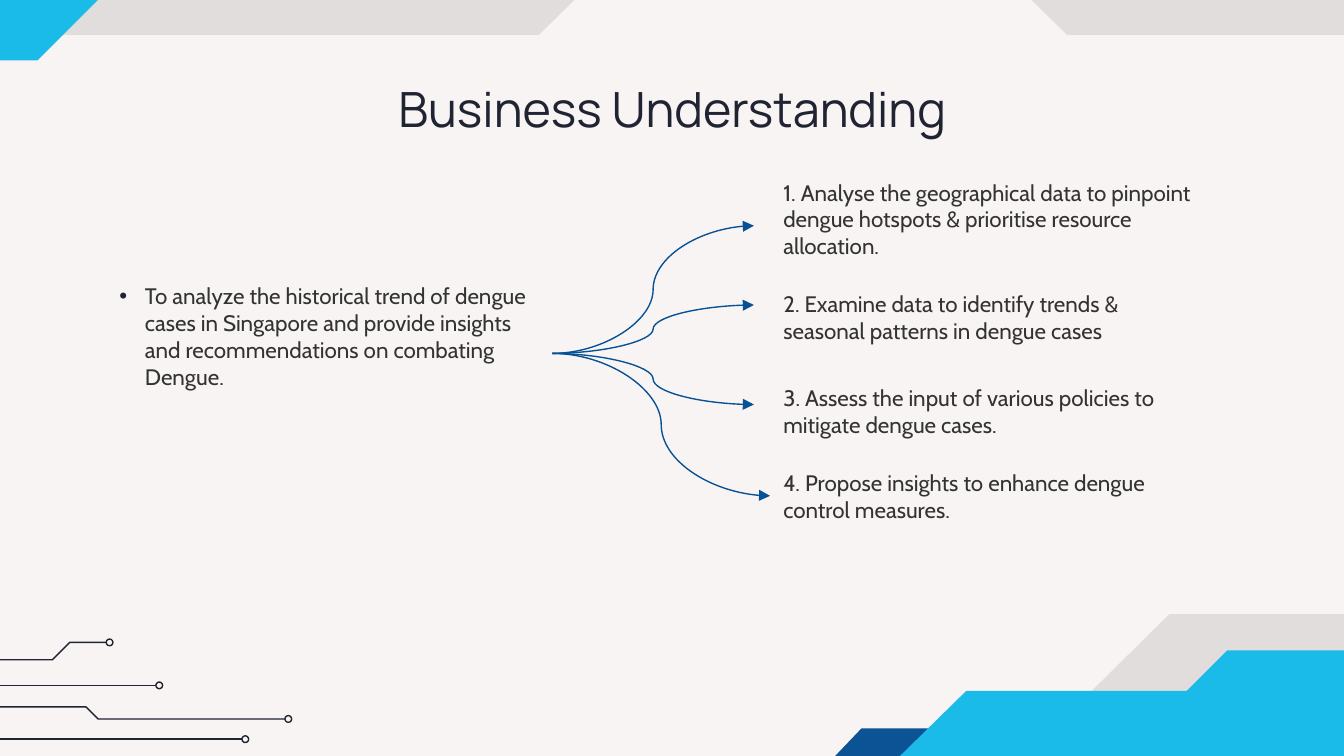
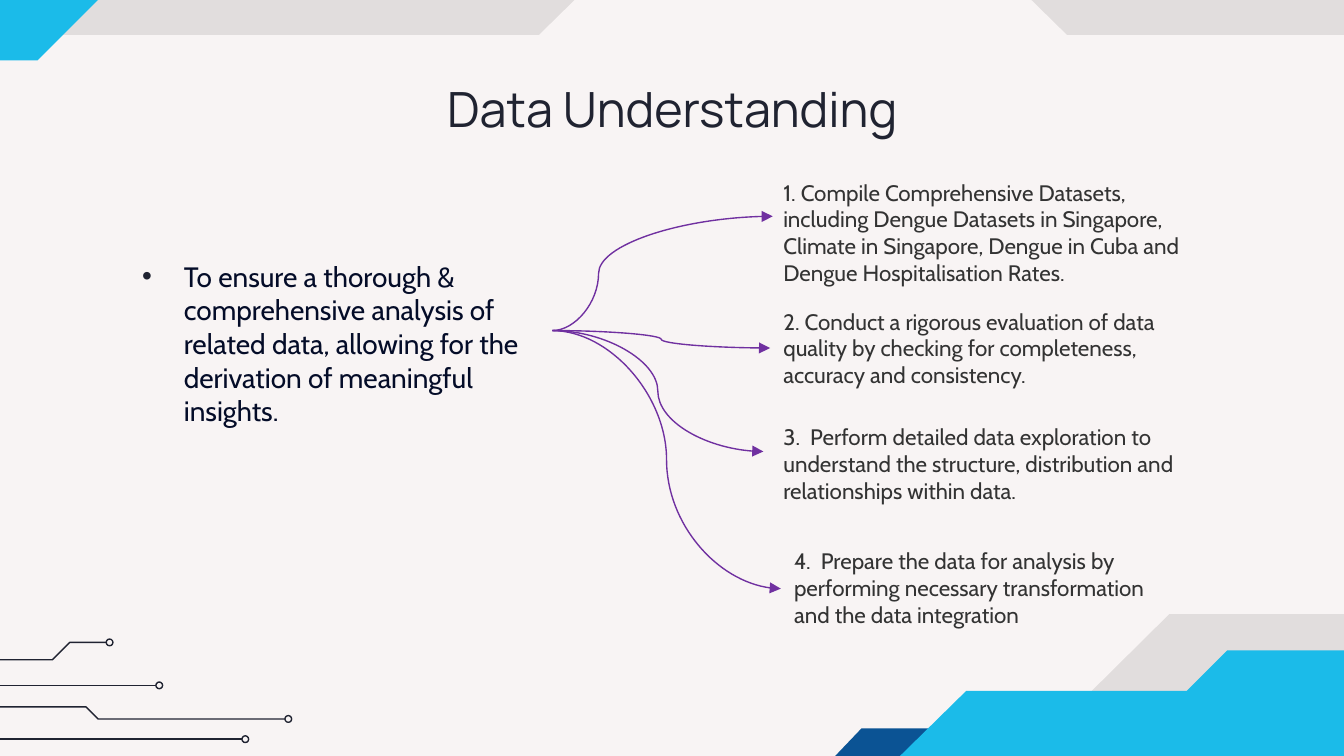
from dataclasses import dataclass

from lxml.etree import SubElement as Sub
from pptx import Presentation
from pptx.dml.color import RGBColor as RGB
from pptx.enum.shapes import MSO_CONNECTOR as CONN, MSO_SHAPE as SHAPE
from pptx.enum.text import MSO_ANCHOR as ANCHOR, PP_ALIGN as ALIGN
from pptx.oxml.ns import qn
from pptx.util import Inches, Pt


@dataclass(frozen=True)
class Theme:
    """Colours, fonts and sizes shared by the slides."""
    paper: str = "F8F4F4"
    shade: str = "000000"
    shade_alpha: int = 9
    cyan: str = "1BBBE9"
    navy: str = "0B5394"
    ink: str = "202331"
    body: str = "333333"
    deep: str = "040C28"
    blue: str = "075194"
    purple: str = "7030A0"
    head_font: str = "Manrope"
    body_font: str = "Cabin"
    title_pt: int = 26
    lead_pt: int = 15
    body_pt: int = 12
    line_pt: float = 0.75


T = Theme()
TOP_BOX = (0, 0, 10, 0.45)
CORNER_BOX = (5.89, 4.57, 4.11, 1.05)
CIRCUIT_BOX = (0, 4.76, 2.17, 0.77)
TITLE_BOX = (0.79, 0.49, 8.43, 0.63)
DOT = 0.05


def paint(fill, color, alpha=None):
    """Fill solidly, with an optional opacity in percent."""
    fill.solid()
    fill.fore_color.rgb = RGB.from_string(color)
    if alpha is not None:
        clr = fill._xPr.find(".//" + qn("a:srgbClr"))
        Sub(clr, qn("a:alpha"), val=str(alpha * 1000))


def outline(line, color):
    """Draw a thin line in the given colour."""
    line.width = Pt(T.line_pt)
    line.color.rgb = RGB.from_string(color)


def freeform(s, box, pts, close=True):
    """Build an outline from points relative to the box."""
    emu = [(Inches(box[0] + x), Inches(box[1] + y)) for x, y in pts]
    fb = s.shapes.build_freeform(*emu[0])
    fb.add_line_segments(emu[1:], close=close)
    sp = fb.convert_to_shape()
    sp.shadow.inherit = False
    return sp


def polygon(s, box, pts, color, alpha=None):
    """Add a filled polygon without a border."""
    sp = freeform(s, box, pts)
    paint(sp.fill, color, alpha)
    sp.line.fill.background()


def connector(s, kind, start, end, color):
    """Add a connector without a shadow."""
    c = s.shapes.add_connector(kind, *map(Inches, (*start, *end)))
    outline(c.line, color)
    Sub(c._element.spPr, qn("a:effectLst"))
    return c


def text(s, box, words, font, size, color, inset=0.1, align=ALIGN.LEFT,
         anchor=ANCHOR.TOP):
    """Add a wrapped text box with one run and return its paragraph."""
    tf = s.shapes.add_textbox(*map(Inches, box)).text_frame
    tf.word_wrap = True
    tf.vertical_anchor = anchor
    tf.margin_left = tf.margin_right = Inches(0.1)
    tf.margin_top = tf.margin_bottom = Inches(inset)
    p = tf.paragraphs[0]
    p.alignment = align
    r = p.add_run()
    r.text = words
    r.font.name, r.font.size = font, Pt(size)
    r.font.color.rgb = RGB.from_string(color)
    return p


def top_band(s, box):
    """Draw the grey band and the cyan corner along the top."""
    polygon(s, box, [(7.94, 0.26), (6.82, -0.84), (5.13, -0.84), (4.01, 0.26),
                     (-0.12, 0.26), (-0.12, -1.8), (10.12, -1.8),
                     (10.12, 0.26)], T.shade, T.shade_alpha)
    polygon(s, box, [(0.28, 0.45), (1.4, -0.67), (1.72, -0.67), (1.72, -1.24),
                     (-1.34, -1.24), (-1.34, 0.45)], T.cyan)


def bottom_corner(s, box):
    """Draw the layered shapes of the lower right corner."""
    polygon(s, box, [(2.81, 0), (1.69, 1.11), (1.37, 1.11), (1.37, 1.68),
                     (4.44, 1.68), (4.44, 0)], T.shade, T.shade_alpha)
    polygon(s, box, [(0.32, 1.06), (0.52, 0.85), (1.42, 0.85), (1.22, 1.06)],
            T.navy)
    polygon(s, box, [(5.59, 0.27), (5.59, 3.57), (0, 3.57), (0, 1.15),
                     (0.71, 1.15), (1.3, 0.57), (2.94, 0.57), (3.24, 0.27)],
            T.cyan)


def circuit(s, box):
    """Draw the wires of the lower left corner, each ending in a ring."""
    wires = [
        [(-0.5, 0.34), (1.16, 0.34)],
        [(-0.87, 0.15), (0.39, 0.15), (0.52, 0.02), (0.79, 0.02)],
        [(-1.19, 0.5), (0.64, 0.5), (0.73, 0.59), (2.12, 0.59)],
        [(-1.44, 0.74), (1.8, 0.74)],
    ]
    for pts in wires:
        if len(pts) == 2:
            ends = [(box[0] + x, box[1] + y) for x, y in pts]
            connector(s, CONN.STRAIGHT, *ends, T.ink)
        else:
            wire = freeform(s, box, pts, close=False)
            wire.fill.background()
            outline(wire.line, T.ink)
        x, y = pts[-1]
        ring = s.shapes.add_shape(SHAPE.OVAL, Inches(box[0] + x),
                                  Inches(box[1] + y - DOT / 2),
                                  Inches(DOT), Inches(DOT))
        ring.shadow.inherit = False
        ring.fill.background()
        outline(ring.line, T.ink)


def goal(s, box, words, size, color, left, hang):
    """Write the bulleted goal on the left."""
    p = text(s, box, words, T.body_font, size, color)
    pPr = p._p.get_or_add_pPr()
    pPr.set("marL", str(Inches(left)))
    pPr.set("indent", str(-Inches(hang)))
    clr = Sub(pPr, qn("a:buClr"))
    Sub(clr, qn("a:srgbClr"), val=T.ink)
    Sub(pPr, qn("a:buFont"), typeface="Arial")
    Sub(pPr, qn("a:buChar"), char="•")


def steps(s, items):
    """Write the numbered steps on the right."""
    for i, (box, words) in enumerate(items):
        text(s, box, words, T.body_font, T.body_pt, T.body,
             inset=0.05 if i else 0.1)


def branches(s, start, ends, color):
    """Draw curved arrows from the goal to each step."""
    for x, y, bend in ends:
        c = connector(s, CONN.CURVE, start, (x, y), color)
        av = c._element.spPr.find(".//" + qn("a:avLst"))
        Sub(av, qn("a:gd"), name="adj1", fmla=f"val {round(bend * 100000)}")
        Sub(c.line._get_or_add_ln(), qn("a:tailEnd"), type="triangle")


def goal_slide(prs, title, lead, items, start, ends, color):
    """Build a slide that links one goal to its steps."""
    s = prs.slides.add_slide(prs.slide_layouts[6])
    paint(s.background.fill, T.paper)
    top_band(s, TOP_BOX)
    bottom_corner(s, CORNER_BOX)
    circuit(s, CIRCUIT_BOX)
    text(s, TITLE_BOX, title, T.head_font, T.title_pt, T.ink,
         align=ALIGN.CENTER, anchor=ANCHOR.MIDDLE)
    goal(s, *lead)
    steps(s, items)
    branches(s, start, ends, color)


def main():
    """Build and save the presentation."""
    prs = Presentation()
    prs.slide_width, prs.slide_height = Inches(10), Inches(5.625)
    goal_slide(
        prs, "Business Understanding",
        ((0.79, 2, 3.33, 1.26),
         "To analyze the historical trend of dengue cases in Singapore and "
         "provide insights and recommendations on combating Dengue.",
         T.body_pt, T.body, 0.19, 0.19),
        [((5.73, 1.23, 3.33, 1.04),
          "1. Analyse the geographical data to pinpoint dengue hotspots & "
          "prioritise resource allocation."),
         ((5.73, 2.11, 3.21, 0.71),
          "2. Examine data to identify trends & seasonal patterns in dengue "
          "cases"),
         ((5.73, 2.81, 3.21, 0.71),
          "3. Assess the input of various policies to mitigate dengue cases."),
         ((5.73, 3.44, 2.92, 0.5),
          "4. Propose insights to enhance dengue control measures.")],
        (4.11, 2.63),
        [(5.61, 1.68, 0.5), (5.61, 2.27, 0.5), (5.61, 3.01, 0.5),
         (5.73, 3.69, 0.5)], T.blue)
    goal_slide(
        prs, "Data Understanding",
        ((0.79, 1.83, 3.33, 1.26),
         "To ensure a thorough & comprehensive analysis of related data, "
         "allowing for the derivation of meaningful insights.",
         T.lead_pt, T.deep, 0.48, 0.31),
        [((5.73, 1.23, 3.33, 1.04),
          "1. Compile Comprehensive Datasets, including Dengue Datasets in "
          "Singapore, Climate in Singapore, Dengue in Cuba and Dengue "
          "Hospitalisation Rates."),
         ((5.73, 2.24, 3.21, 0.71),
          "2. Conduct a rigorous evaluation of data quality by checking for "
          "completeness, accuracy and consistency."),
         ((5.73, 3.1, 3.21, 0.91),
          "3.  Perform detailed data exploration to understand the structure, "
          "distribution and relationships within data."),
         ((5.81, 4.02, 2.92, 0.71),
          "4.  Prepare the data for analysis by performing necessary "
          "transformation and the data integration")],
        (4.11, 2.46),
        [(5.81, 4.38, 0.5), (5.68, 3.36, 0.5), (5.73, 2.59, 0.5),
         (5.75, 1.61, 0.21)], T.purple)
    prs.save("out.pptx")


if __name__ == "__main__":
    main()
